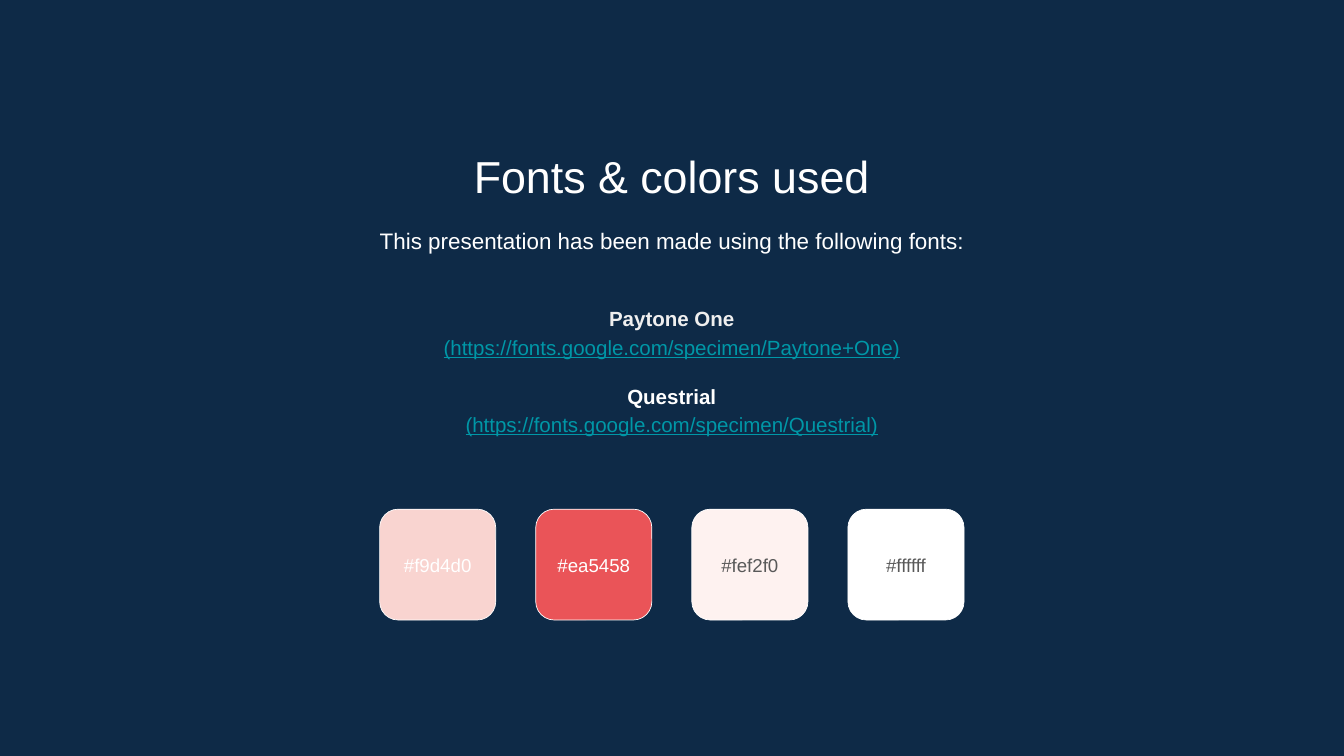
"""Build the slide that lists the fonts and colors used in a presentation."""
from dataclasses import dataclass

from lxml import etree
from pptx import Presentation
from pptx import util as u
from pptx.dml.color import RGBColor
from pptx.enum import shapes, text
from pptx.oxml.ns import qn


@dataclass(frozen=True)
class Theme:
    font: str = "Arial"
    navy: str = "0E2A47"
    white: str = "FFFFFF"
    pale: str = "EFEFEF"
    teal: str = "0097A7"
    gray: str = "595959"
    title: int = 48
    lead: int = 24
    body: int = 22
    label: int = 20
    inset: float = 0.51


class Composer:
    def __init__(self, deck, theme):
        self.theme = theme
        self.page = deck.slides.add_slide(deck.slide_layouts[3])
        self.fill(self.page.background, theme.navy)

    def fill(self, target, color):
        target.fill.solid()
        target.fill.fore_color.rgb = RGBColor.from_string(color)

    def frame(self, box, anchor):
        frame = box.text_frame
        frame.word_wrap = True
        frame.auto_size = text.MSO_AUTO_SIZE.NONE
        frame.vertical_anchor = anchor
        inset = u.Cm(self.theme.inset)
        frame.margin_left = frame.margin_right = inset
        frame.margin_top = frame.margin_bottom = inset
        return frame

    def line(self, para, words, size, color, bold=False, underline=False,
             spacing=1.0, before=0):
        properties = para._p.get_or_add_pPr()
        properties.set("marL", "0")
        properties.set("indent", "0")
        etree.SubElement(properties, qn("a:buNone"))
        para.alignment = text.PP_ALIGN.CENTER
        para.line_spacing = spacing
        para.space_before = u.Pt(before)
        span = para.add_run()
        span.text = words
        font = span.font
        font.name, font.size = self.theme.font, u.Pt(size)
        font.bold, font.underline = bold, underline
        font.color.rgb = RGBColor.from_string(color)

    def placeholder(self, index, top, height, anchor=text.MSO_ANCHOR.TOP):
        box = self.page.placeholders[index]
        box.left, box.top = u.Cm(5.82), u.Cm(top)
        box.width, box.height = u.Cm(39.14), u.Cm(height)
        return self.frame(box, anchor)

    def title(self, words):
        frame = self.placeholder(0, 5.13, 2.69)
        self.line(frame.paragraphs[0], words, self.theme.title, self.theme.white)

    def lead(self, words):
        frame = self.placeholder(1, 7.92, 2.44)
        self.line(frame.paragraphs[0], words, self.theme.lead, self.theme.white,
                  spacing=1.15)

    def font_list(self, fonts):
        frame = self.placeholder(2, 10.49, 6.96, text.MSO_ANCHOR.MIDDLE)
        size = self.theme.body
        for number, (name, address, color) in enumerate(fonts):
            para = frame.add_paragraph() if number else frame.paragraphs[0]
            self.line(para, name, size, color, bold=True, spacing=1.15,
                      before=22 if number else 0)
            self.line(frame.add_paragraph(), address, size, self.theme.teal,
                      underline=True, spacing=1.15)

    def swatch(self, left, color, ink):
        box = self.page.shapes.add_shape(
            shapes.MSO_SHAPE.ROUNDED_RECTANGLE,
            u.Cm(left), u.Cm(19.25), u.Cm(4.39), u.Cm(4.19))
        box.shadow.inherit = False
        self.fill(box, color.upper())
        box.line.color.rgb = RGBColor.from_string(self.theme.white)
        box.line.width = u.Pt(0.75)
        frame = self.frame(box, text.MSO_ANCHOR.MIDDLE)
        self.line(frame.paragraphs[0], f"#{color}", self.theme.label, ink)


def main():
    theme = Theme()
    deck = Presentation()
    deck.slide_width, deck.slide_height = u.Cm(50.8), u.Cm(28.58)
    composer = Composer(deck, theme)
    composer.title("Fonts & colors used")
    composer.lead("This presentation has been made using the following fonts:")
    composer.font_list([
        ("Paytone One", "(https://fonts.google.com/specimen/Paytone+One)", theme.pale),
        ("Questrial", "(https://fonts.google.com/specimen/Questrial)", theme.white),
    ])
    swatches = [("f9d4d0", theme.white), ("ea5458", theme.white),
                ("fef2f0", theme.gray), ("ffffff", theme.gray)]
    for column, (color, ink) in enumerate(swatches):
        composer.swatch(14.35 + 5.9 * column, color, ink)
    deck.save("out.pptx")


if __name__ == "__main__":
    main()
